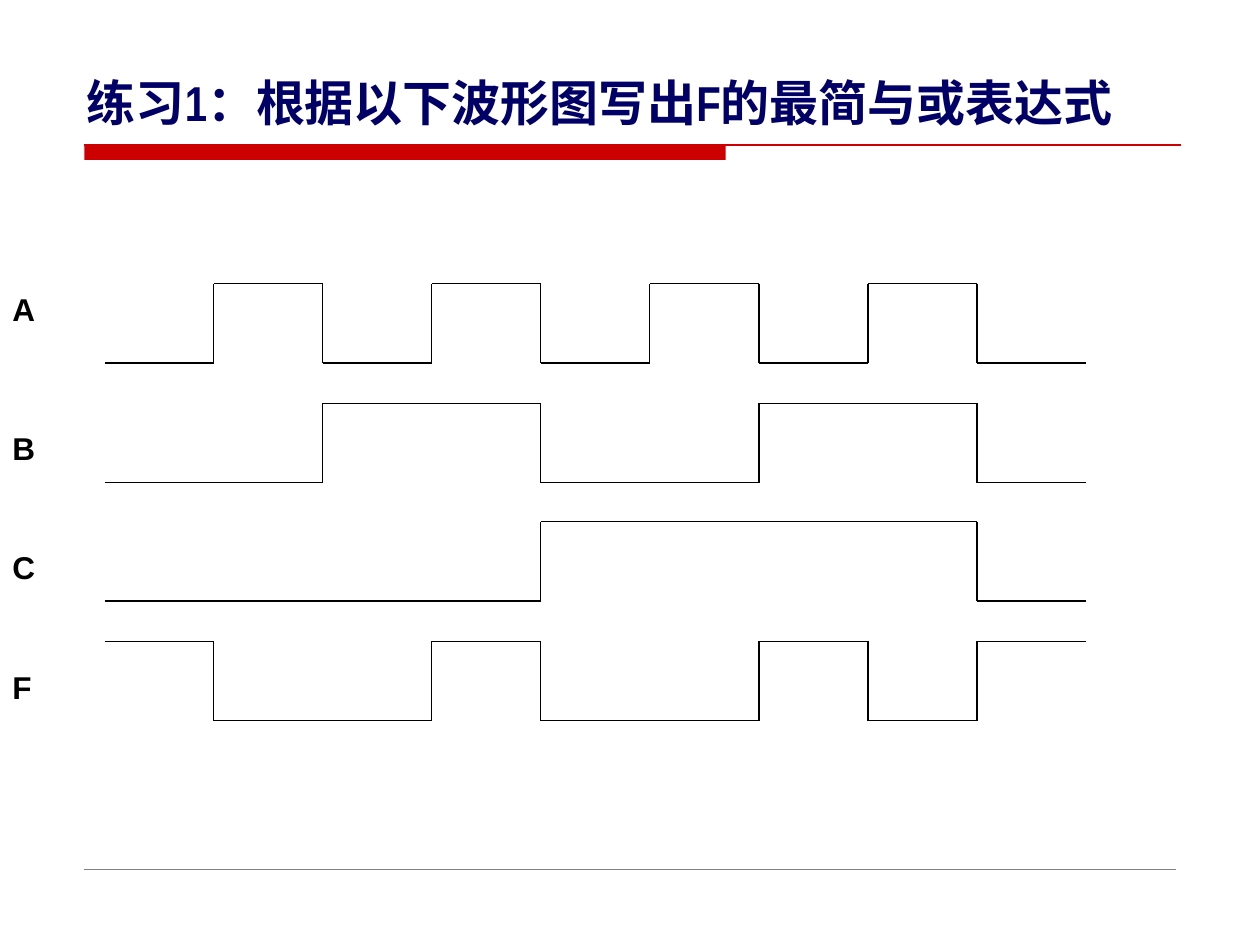
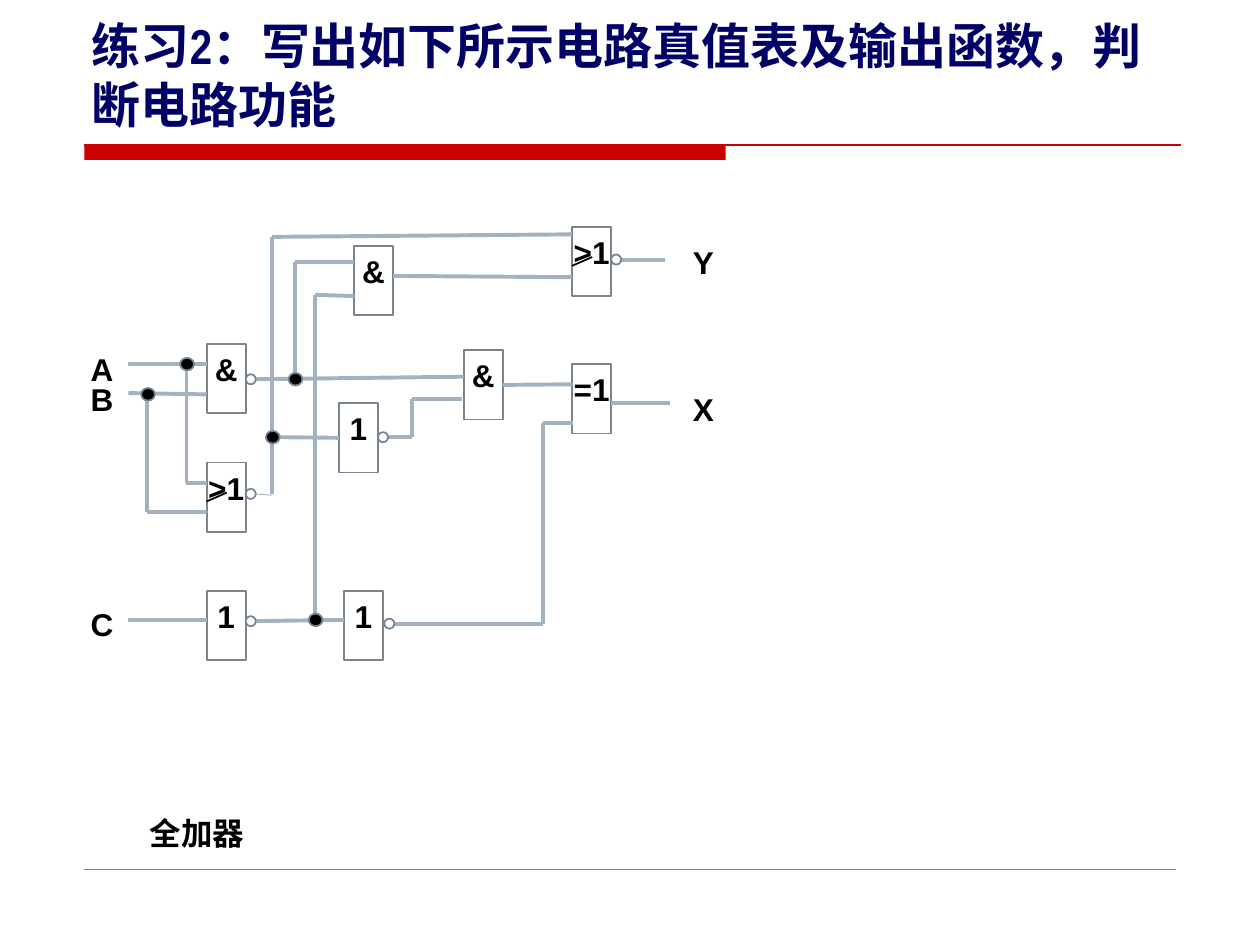
from dataclasses import dataclass
from itertools import groupby

from lxml import etree
from pptx import Presentation
from pptx.dml.color import RGBColor
from pptx.enum.shapes import MSO_CONNECTOR, MSO_SHAPE
from pptx.enum.text import MSO_ANCHOR, MSO_AUTO_SIZE, PP_ALIGN
from pptx.oxml.ns import qn
from pptx.util import Inches, Pt

STRAIGHT = MSO_CONNECTOR.STRAIGHT
RECTANGLE, OVAL = MSO_SHAPE.RECTANGLE, MSO_SHAPE.OVAL
TOP, BOTTOM = MSO_ANCHOR.TOP, MSO_ANCHOR.BOTTOM
LEFT, CENTER = PP_ALIGN.LEFT, PP_ALIGN.CENTER
FIXED_SIZE = MSO_AUTO_SIZE.NONE


@dataclass(frozen=True)
class Theme:
    title_color: RGBColor = RGBColor(0x00, 0x00, 0x66)
    accent: RGBColor = RGBColor(0xCC, 0x00, 0x00)
    footer: RGBColor = RGBColor(0x80, 0x80, 0x80)
    ink: RGBColor = RGBColor(0x00, 0x00, 0x00)
    paper: RGBColor = RGBColor(0xFF, 0xFF, 0xFF)
    outline: RGBColor = RGBColor(0x79, 0x84, 0x8F)
    wire: RGBColor = RGBColor(0xA3, 0xB2, 0xC1)
    title_font: str = "Arial Narrow"
    body_font: str = "Arial"
    title_size: int = 28
    body_size: int = 18


theme = Theme()


def add_line(page, start, end, color, width):
    points = [Inches(value) for value in (*start, *end)]
    line = page.shapes.add_connector(STRAIGHT, *points)
    line.line.color.rgb = color
    line.line.width = Pt(width)
    etree.SubElement(line.element.spPr, qn("a:effectLst"))
    return line


def write_text(frame, text, font_name, size, color, align):
    frame.text = text
    para = frame.paragraphs[0]
    para.alignment = align
    for span in para.runs:
        span.font.name = font_name
        span.font.size = Pt(size)
        span.font.bold = True
        span.font.color.rgb = color


deck = Presentation()
deck.slide_width, deck.slide_height = Inches(10), Inches(7.5)

titles = [
    ("练习1：根据以下波形图写出F的最简与或表达式", 0.59, 0.26),
    ("练习2：写出如下所示电路真值表及输出函数，判断电路功能", 0.63, 0.28),
]
pages = []
for text, left, top in titles:
    page = deck.slides.add_slide(deck.slide_layouts[5])
    pages.append(page)
    band = page.shapes.add_shape(RECTANGLE, Inches(0.67), Inches(1.15), Inches(5.09), Inches(0.12))
    band.shadow.inherit = False
    band.fill.solid()
    band.fill.fore_color.rgb = theme.accent
    band.line.fill.background()
    add_line(page, (0.67, 1.15), (9.37, 1.15), theme.accent, 0.75)
    add_line(page, (0.67, 6.9), (9.33, 6.9), theme.footer, 0.25)

    title = page.shapes.title
    title.left, title.top = Inches(left), Inches(top)
    title.width, title.height = Inches(8.75), Inches(0.83)
    title.text_frame.word_wrap = True
    title.text_frame.auto_size = FIXED_SIZE
    title.text_frame.vertical_anchor = BOTTOM
    write_text(title.text_frame, text, theme.title_font, theme.title_size, theme.title_color, LEFT)

waveform_page, circuit_page = pages

signals = [
    ("010101010", 2.25),
    ("001100110", 3.2),
    ("000011110", 4.14),
    ("100100101", 5.09),
]
wave_left, wave_right, wave_height = 0.83, 8.62, 0.63
period = (wave_right - wave_left) / 9
for levels, top in signals:
    x = wave_left
    previous_y = None
    for level, run in groupby(levels):
        y = top if level == "1" else top + wave_height
        if previous_y is not None:
            add_line(waveform_page, (x, previous_y), (x, y), theme.ink, 0.75)
        next_x = x + period * len(list(run))
        add_line(waveform_page, (x, y), (next_x, y), theme.ink, 0.75)
        x, previous_y = next_x, y

gate_width, gate_height = 0.31, 0.55
gate_specs = [
    ("nand", "&", 1.64, 2.73),
    ("nor", ">1", 1.64, 3.67),
    ("c_inverter", "1", 1.64, 4.69),
    ("c_buffer", "1", 2.73, 4.69),
    ("nor_inverter", "1", 2.69, 3.2),
    ("carry_and", "&", 2.81, 1.95),
    ("sum_and", "&", 3.68, 2.78),
    ("sum_xor", "=1", 4.54, 2.89),
    ("carry_nor", ">1", 4.54, 1.8),
]
gates = {}
for name, symbol, left, top in gate_specs:
    gate = circuit_page.shapes.add_shape(
        RECTANGLE, Inches(left), Inches(top), Inches(gate_width), Inches(gate_height)
    )
    gate.shadow.inherit = False
    gate.fill.background()
    gate.line.color.rgb = theme.outline
    gate.line.width = Pt(1)
    frame = gate.text_frame
    frame.word_wrap = False
    frame.vertical_anchor = TOP
    frame.margin_left = frame.margin_right = 0
    write_text(frame, symbol, theme.body_font, theme.body_size, theme.ink, CENTER)
    gates[name] = gate
    if symbol == ">1":
        add_line(circuit_page, (left, top + 0.31), (left + 0.16, top + 0.24), theme.ink, 1)

wires = [
    [(1.02, 2.89), (1.64, 2.89)],
    [(1.02, 3.12), (1.64, 3.13)],
    [(1.02, 4.92), (1.64, 4.92)],
    [(1.48, 2.89), (1.48, 3.83), (1.64, 3.83)],
    [(1.17, 3.12), (1.17, 4.06), (1.64, 4.06)],
    [(2, 3.01), (3.68, 2.99)],
    [(2.16, 3.92), (2.16, 1.88), (4.54, 1.86)],
    [(2, 4.93), (2.73, 4.92)],
    [(3.05, 3.47), (3.27, 3.47), (3.27, 3.17), (3.67, 3.17)],
    [(3.09, 4.95), (4.31, 4.95), (4.31, 3.36), (4.55, 3.36)],
    [(4.85, 3.2), (5.32, 3.2)],
    [(4.89, 2.06), (5.28, 2.06)],
    [(3.12, 2.19), (4.54, 2.2)],
    [(2.5, 4.92), (2.5, 2.34), (2.81, 2.35)],
    [(2.34, 3.01), (2.34, 2.08), (2.81, 2.08)],
]
for wire in wires:
    for start, end in zip(wire, wire[1:]):
        add_line(circuit_page, start, end, theme.wire, 2.25)
add_line(circuit_page, (2.01, 3.92), (2.16, 3.93), theme.wire, 0.5)

inverter_input = add_line(circuit_page, (2.21, 3.47), (2.69, 3.47), theme.wire, 2.25)
inverter_input.end_connect(gates["nor_inverter"], 1)
and_output = add_line(circuit_page, (4, 3.06), (4.54, 3.05), theme.wire, 2.25)
and_output.begin_connect(gates["sum_and"], 3)

junctions = [(2.11, 3.42), (2.29, 2.96), (1.43, 2.84), (1.12, 3.08), (2.45, 4.87)]
bubbles = [(3, 3.43), (3.05, 4.91), (1.95, 4.89), (1.95, 3.88), (4.85, 2.02), (1.95, 2.97)]
for places, width, height, color in [
    (junctions, 0.11, 0.1, theme.ink),
    (bubbles, 0.08, 0.08, theme.paper),
]:
    for left, top in places:
        dot = circuit_page.shapes.add_shape(
            OVAL, Inches(left), Inches(top), Inches(width), Inches(height)
        )
        dot.shadow.inherit = False
        dot.fill.solid()
        dot.fill.fore_color.rgb = color
        dot.line.color.rgb = theme.outline
        dot.line.width = Pt(1)

labels = [
    (waveform_page, "A", 0, 2.25, 0.75),
    (waveform_page, "B", 0, 3.36, 0.75),
    (waveform_page, "C", 0, 4.3, 0.75),
    (waveform_page, "F", 0, 5.25, 0.75),
    (circuit_page, "A", 0.62, 2.73, 0.39),
    (circuit_page, "B", 0.62, 2.97, 0.39),
    (circuit_page, "C", 0.62, 4.75, 0.39),
    (circuit_page, "Y", 5.4, 1.88, 0.39),
    (circuit_page, "X", 5.4, 3.05, 0.39),
    (circuit_page, "全加器", 1.09, 6.41, 2.97),
]
for page, text, left, top, width in labels:
    box = page.shapes.add_textbox(Inches(left), Inches(top), Inches(width), Inches(0.4))
    box.text_frame.word_wrap = True
    write_text(box.text_frame, text, theme.body_font, theme.body_size, theme.ink, LEFT)

deck.save("out.pptx")
